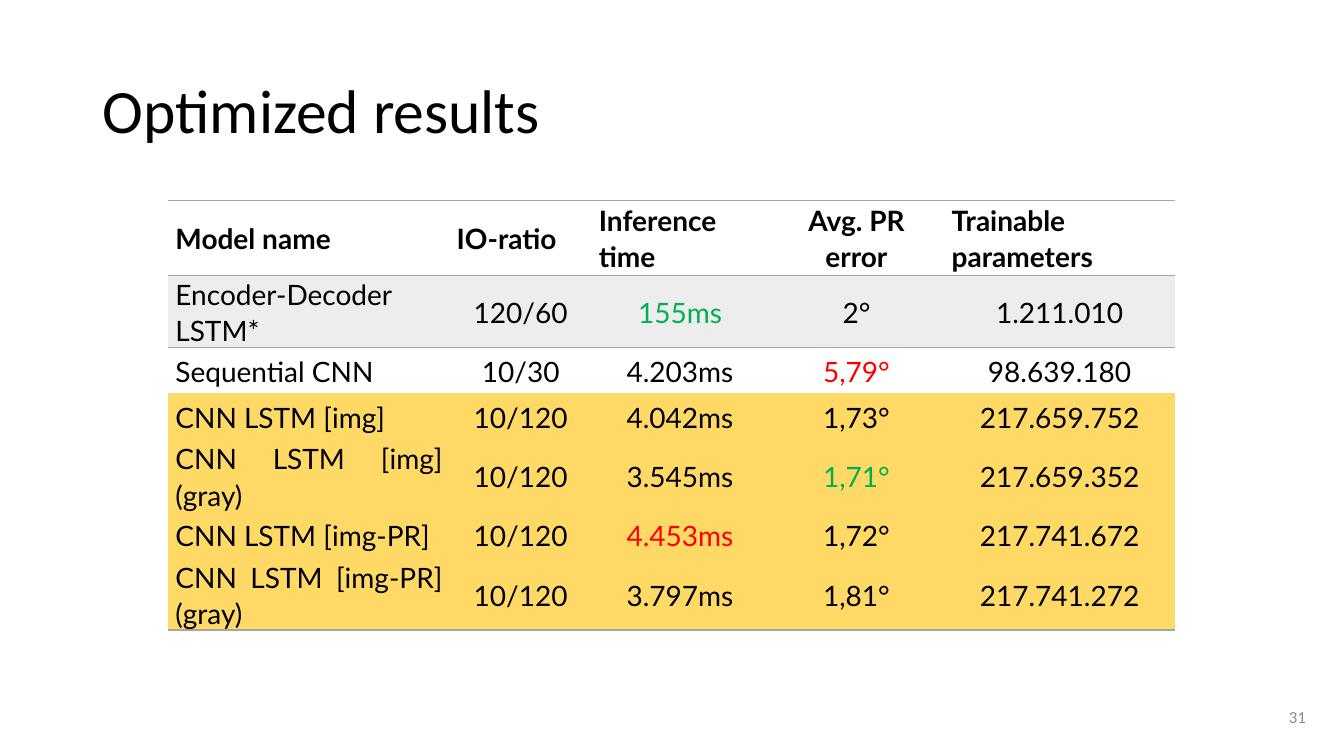
from dataclasses import dataclass

from lxml import etree
from pptx import Presentation
from pptx import util as u
from pptx.dml.color import RGBColor
from pptx.enum import text
from pptx.oxml.ns import qn


@dataclass(frozen=True)
class Theme:
    heading_font: str = "Calibri"
    table_font: str = "Lato"
    black: str = "000000"
    number: str = "8C8C8C"
    rule: str = "A5A5A5"
    best: str = "00B050"
    worst: str = "FF0000"
    band: str = "EDEDED"
    highlight: str = "FFD966"
    title_size: int = 44
    table_size: int = 20
    number_size: int = 12


THEME = Theme()
NO_GRID_STYLE = "{2D5ABB26-0587-4C30-8999-92F81FD0307C}"
LEFT, CENTER, RIGHT, JUSTIFY = (
    text.PP_ALIGN.LEFT, text.PP_ALIGN.CENTER,
    text.PP_ALIGN.RIGHT, text.PP_ALIGN.JUSTIFY,
)

COLUMN_WIDTHS = [2.79, 1.41, 1.75, 1.75, 2.28]
HEADER_HEIGHT, ROW_HEIGHT = 0.74, 0.46
RESULTS = [
    ["Model name", "IO-ratio", "Inference time", "Avg. PR error", "Trainable parameters"],
    ["Encoder-Decoder LSTM*", "120/60", "155ms", "2°", "1.211.010"],
    ["Sequential CNN", "10/30", "4.203ms", "5,79°", "98.639.180"],
    ["CNN LSTM [img]", "10/120", "4.042ms", "1,73°", "217.659.752"],
    ["CNN LSTM [img] (gray)", "10/120", "3.545ms", "1,71°", "217.659.352"],
    ["CNN LSTM [img-PR]", "10/120", "4.453ms", "1,72°", "217.741.672"],
    ["CNN LSTM [img-PR] (gray)", "10/120", "3.797ms", "1,81°", "217.741.272"],
]
ROW_FILLS = [None, THEME.band, None] + [THEME.highlight] * 4
VALUE_COLORS = {
    "155ms": THEME.best, "1,71°": THEME.best,
    "5,79°": THEME.worst, "4.453ms": THEME.worst,
}


def write(tf, content, *, font, size, color=THEME.black, bold=False,
          align=LEFT, spacing=1.0, after=0):
    tf.word_wrap = True
    p = tf.paragraphs[0]
    p.alignment = align
    p.line_spacing = spacing
    p.space_after = u.Pt(after)
    r = p.add_run()
    r.text = content
    r.font.name = font
    r.font.size = u.Pt(size)
    r.font.bold = bold
    r.font.color.rgb = RGBColor.from_string(color)


def add_label(s, content, left, top, width, height, **style):
    sp = s.shapes.add_textbox(*map(u.Inches, (left, top, width, height)))
    sp.text_frame.vertical_anchor = text.MSO_ANCHOR.MIDDLE
    write(sp.text_frame, content, **style)


def add_rule(cell, side):
    line = etree.SubElement(cell._tc.get_or_add_tcPr(), qn(f"a:{side}"), w=str(u.Pt(1)))
    fill = etree.SubElement(line, qn("a:solidFill"))
    etree.SubElement(fill, qn("a:srgbClr"), val=THEME.rule)


def format_cell(cell, content, row, column):
    header = row == 0
    cell.margin_left = cell.margin_right = u.Inches(0.07)
    cell.margin_top = cell.margin_bottom = 0
    cell.vertical_anchor = text.MSO_ANCHOR.MIDDLE
    if row in (0, 1):
        add_rule(cell, "lnT")
    if row in (0, len(RESULTS) - 1):
        add_rule(cell, "lnB")
    if ROW_FILLS[row]:
        cell.fill.solid()
        cell.fill.fore_color.rgb = RGBColor.from_string(ROW_FILLS[row])
    else:
        cell.fill.background()
    justified = column == 0 or (header and column != 3)
    write(cell.text_frame, content, font=THEME.table_font, size=THEME.table_size,
          color=VALUE_COLORS.get(content, THEME.black), bold=header,
          align=JUSTIFY if justified else CENTER, spacing=1.07, after=8)


def add_results_table(s, left, top):
    height = HEADER_HEIGHT + ROW_HEIGHT * (len(RESULTS) - 1)
    frame = s.shapes.add_table(
        len(RESULTS), len(COLUMN_WIDTHS),
        *map(u.Inches, (left, top, sum(COLUMN_WIDTHS), height)))
    table = frame.table
    table.first_row = table.horz_banding = False
    next(frame.element.iter(qn("a:tableStyleId"))).text = NO_GRID_STYLE
    for column, width in zip(table.columns, COLUMN_WIDTHS):
        column.width = u.Inches(width)
    for i, values in enumerate(RESULTS):
        table.rows[i].height = u.Inches(ROW_HEIGHT if i else HEADER_HEIGHT)
        for j, value in enumerate(values):
            format_cell(table.cell(i, j), value, i, j)


def main():
    prs = Presentation()
    prs.slide_width, prs.slide_height = u.Inches(13.33), u.Inches(7.5)
    s = prs.slides.add_slide(prs.slide_layouts[6])
    add_label(s, "31", 10.8, 6.91, 2.25, 0.4, font=THEME.heading_font,
              size=THEME.number_size, color=THEME.number, align=RIGHT)
    add_label(s, "Optimized results", 0.92, 0.4, 12.11, 1.45,
              font=THEME.heading_font, size=THEME.title_size, spacing=0.9)
    add_results_table(s, 1.67, 1.99)
    prs.save("out.pptx")


if __name__ == "__main__":
    main()
